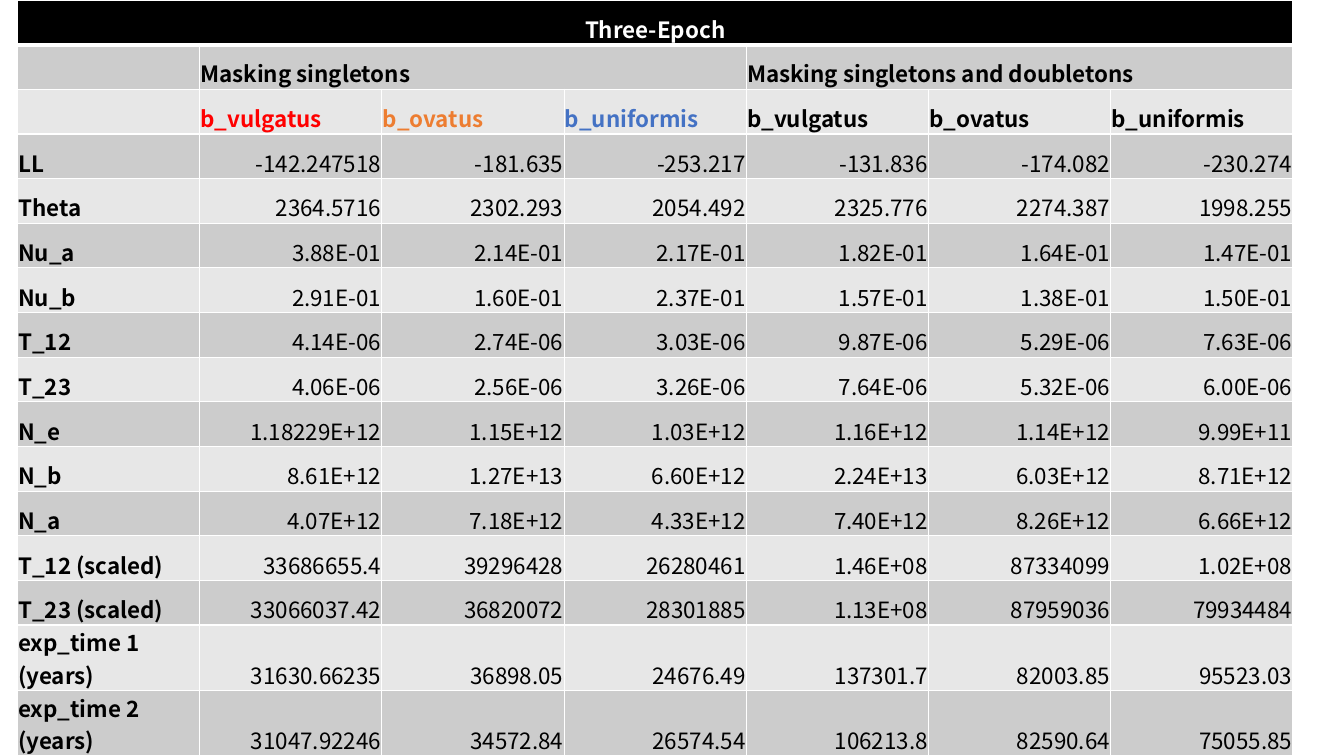
from lxml.etree import SubElement
from pptx import Presentation
from pptx.dml.color import RGBColor
from pptx.enum.text import MSO_ANCHOR, PP_ALIGN
from pptx.oxml.ns import qn
from pptx.util import Cm, Pt

BLACK = RGBColor(0x00, 0x00, 0x00)
WHITE = RGBColor(0xFF, 0xFF, 0xFF)
DARK_BAND = RGBColor(0xCC, 0xCC, 0xCC)
LIGHT_BAND = RGBColor(0xE7, 0xE7, 0xE7)
RED = RGBColor(0xFF, 0x00, 0x00)
ORANGE = RGBColor(0xED, 0x7D, 0x31)
BLUE = RGBColor(0x44, 0x72, 0xC4)

FONT = "Noto Sans CJK JP"
HEADER_ROWS = 3
SPECIES = ["b_vulgatus", "b_ovatus", "b_uniformis"]
SPECIES_COLORS = [RED, ORANGE, BLUE]

ROWS = [
    ["Three-Epoch"] + [""] * 6,
    ["", "Masking singletons", "", "", "Masking singletons and doubletons", "", ""],
    [""] + SPECIES * 2,
    ["LL", "-142.247518", "-181.635", "-253.217", "-131.836", "-174.082", "-230.274"],
    ["Theta", "2364.5716", "2302.293", "2054.492", "2325.776", "2274.387", "1998.255"],
    ["Nu_a", "3.88E-01", "2.14E-01", "2.17E-01", "1.82E-01", "1.64E-01", "1.47E-01"],
    ["Nu_b", "2.91E-01", "1.60E-01", "2.37E-01", "1.57E-01", "1.38E-01", "1.50E-01"],
    ["T_12", "4.14E-06", "2.74E-06", "3.03E-06", "9.87E-06", "5.29E-06", "7.63E-06"],
    ["T_23", "4.06E-06", "2.56E-06", "3.26E-06", "7.64E-06", "5.32E-06", "6.00E-06"],
    ["N_e", "1.18229E+12", "1.15E+12", "1.03E+12", "1.16E+12", "1.14E+12", "9.99E+11"],
    ["N_b", "8.61E+12", "1.27E+13", "6.60E+12", "2.24E+13", "6.03E+12", "8.71E+12"],
    ["N_a", "4.07E+12", "7.18E+12", "4.33E+12", "7.40E+12", "8.26E+12", "6.66E+12"],
    ["T_12 (scaled)", "33686655.4", "39296428", "26280461", "1.46E+08", "87334099", "1.02E+08"],
    ["T_23 (scaled)", "33066037.42", "36820072", "28301885", "1.13E+08", "87959036", "79934484"],
    ["exp_time 1 (years)", "31630.66235", "36898.05", "24676.49", "137301.7", "82003.85", "95523.03"],
    ["exp_time 2 (years)", "31047.92246", "34572.84", "26574.54", "106213.8", "82590.64", "75055.85"],
]


def add_borders(cell, top, bottom):
    properties = cell._tc.get_or_add_tcPr()
    widths = {"a:lnL": 1, "a:lnR": 1, "a:lnT": top, "a:lnB": bottom}
    for side, width in widths.items():
        line = SubElement(properties, qn(side), w=str(Pt(width)))
        fill = SubElement(line, qn("a:solidFill"))
        SubElement(fill, qn("a:srgbClr"), val=str(WHITE))


def text_color(row, column):
    if row == 0:
        return WHITE
    if row == 2 and 1 <= column <= len(SPECIES):
        return SPECIES_COLORS[column - 1]
    return BLACK


def text_alignment(row, column):
    if row == 0:
        return PP_ALIGN.CENTER
    if row >= HEADER_ROWS and column > 0:
        return PP_ALIGN.RIGHT
    return PP_ALIGN.LEFT


def fill_cell(cell, row, column, text):
    add_borders(cell, 3 if row == 1 else 1, 3 if row == 0 else 1)
    cell.fill.solid()
    band = DARK_BAND if row % 2 else LIGHT_BAND
    cell.fill.fore_color.rgb = BLACK if row == 0 else band
    cell.vertical_anchor = MSO_ANCHOR.BOTTOM
    cell.margin_left = cell.margin_right = cell.margin_top = Cm(0.02)
    cell.margin_bottom = 0
    if not text:
        return
    cell.text_frame.text = text
    para = cell.text_frame.paragraphs[0]
    para.alignment = text_alignment(row, column)
    for span in para.runs:
        span.font.name = FONT
        span.font.size = Pt(16)
        span.font.bold = row < HEADER_ROWS or column == 0
        span.font.color.rgb = text_color(row, column)


def add_estimates_table(page, left, top, width, height):
    table = page.shapes.add_table(len(ROWS), len(ROWS[0]), left, top, width, height).table
    table.first_row = False
    table.horz_banding = False
    for column in table.columns:
        column.width = width // len(ROWS[0])

    last_heights = [Cm(1.15), Cm(1.32)]
    regular_count = len(ROWS) - len(last_heights)
    regular_height = (height - sum(last_heights)) // regular_count
    for row, row_height in zip(table.rows, [regular_height] * regular_count + last_heights):
        row.height = row_height

    for row, texts in enumerate(ROWS):
        for column, text in enumerate(texts):
            fill_cell(table.cell(row, column), row, column, text)
    for row, first, last in [(0, 0, 6), (1, 1, 3), (1, 4, 6)]:
        table.cell(row, first).merge(table.cell(row, last))


def main():
    deck = Presentation()
    deck.slide_width = Cm(33.87)
    deck.slide_height = Cm(19.05)
    page = deck.slides.add_slide(deck.slide_layouts[6])
    add_estimates_table(page, Cm(0.44), Cm(0), Cm(32.15), Cm(18.22))
    deck.save("out.pptx")


if __name__ == "__main__":
    main()
